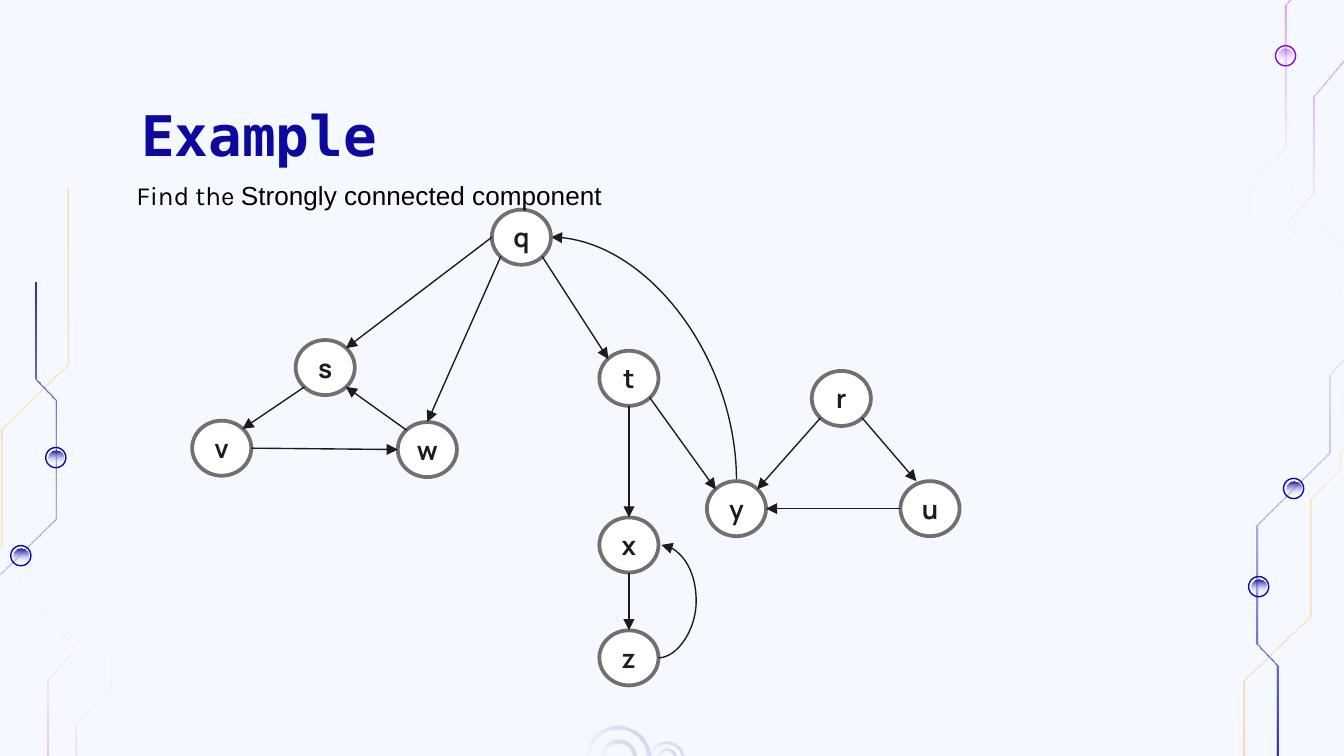
from dataclasses import dataclass

from lxml import etree
from pptx import Presentation
from pptx.dml.color import RGBColor
from pptx.enum.shapes import MSO_CONNECTOR, MSO_SHAPE
from pptx.enum.text import MSO_ANCHOR, PP_ALIGN
from pptx.oxml.ns import qn
from pptx.util import Emu, Inches, Pt

OVAL, DONUT = MSO_SHAPE.OVAL, MSO_SHAPE.DONUT
LINE, CURVE = MSO_CONNECTOR.STRAIGHT, MSO_CONNECTOR.CURVE
TOP, MIDDLE, BOTTOM = MSO_ANCHOR.TOP, MSO_ANCHOR.MIDDLE, MSO_ANCHOR.BOTTOM
LEFT, CENTER = PP_ALIGN.LEFT, PP_ALIGN.CENTER

COLS, ROWS = 100, 56.25  # grid of square cells
CELL = Inches(0.1)
COLORS = {
    "back": "F5F8FF", "navy": "0C0A9E", "orange": "FF9900", "purple": "9900FF",
    "violet": "8208D5", "white": "FFFFFF", "gray": "707070", "ink": "1C1C1C",
    "letter": "1D1D1D", "black": "000000",
}
NODE_W, NODE_H = 4.4, 4.1
SITES = {  # shares of a node's width and height
    "n": (0.5, 0), "e": (1, 0.5), "s": (0.5, 1), "w": (0, 0.5),
    "nw": (0.15, 0.15), "ne": (0.85, 0.15), "sw": (0.15, 0.85), "se": (0.85, 0.85),
    "nnw": (0.27, 0), "out": (1.05, 0.5),
}
NODES = {
    "s": (22, 25.3), "v": (14.3, 31.3), "q": (36.6, 15.6), "w": (29.6, 31.4),
    "t": (44.6, 26.1), "x": (44.6, 38.5), "z": (44.6, 46.9), "y": (52.6, 35.8),
    "r": (60.4, 27.6), "u": (67, 35.8),
}


@dataclass
class Edge:
    tail: str
    leave: str
    head: str
    enter: str


@dataclass
class Trail:
    color: str
    alphas: tuple
    angle: int
    turn: tuple  # sum of a point and its half-turned partner
    points: list


@dataclass
class Run:
    text: str
    font: str
    size: int
    color: str
    bold: bool = False


EDGES = [Edge(*e.split()) for e in (
    "q sw w n", "q w s ne", "s sw v ne", "v e w w", "w nw s se", "q se t nw",
    "t s x n", "x s z n", "t se y nw", "r sw y ne", "r se u nnw", "u w y e")]
WIDE, SIDE = (97.8, 77.7), (101.4, 64.9)
TRAILS = [
    Trail("orange", (35, 20), 270, WIDE, [
        (5.1, 14), (5.1, 27.1), (0.2, 31.9), (0.2, 40.6), (-2, 42.8), (-2, 44.1),
        (-3.2, 45.3), (-3.2, 50.7), (-5.6, 53.2), (-5.6, 56.7), (-7.3, 58.4),
        (-7.3, 67.2), (-0.7, 73.8), (-0.7, 81.5)]),
    Trail("navy", (85, 0), 270, WIDE, [
        (2.7, 21), (2.7, 28.2), (4.2, 29.8), (4.2, 38.6), (-1.2, 44), (-1.2, 49.8),
        (-3.6, 52.3), (-3.6, 57.9), (1.7, 63.2), (1.7, 67.1)]),
    Trail("purple", (47, 0), 90, SIDE, [
        (2.1, 68.1), (5.7, 64.5), (5.7, 53.9), (8.3, 51.3), (8.3, 46.5)]),
    Trail("purple", (47, 0), 90, SIDE, [
        (-1.8, 64.2), (3.6, 57.7), (3.6, 50.6), (5.6, 48.3), (1.6, 43.6), (1.6, 41.3)]),
]
DOTS = [(4.15, 34.05), (1.55, 41.35)]
RINGS = [(46, 4.8, 0.3), (46, 2.7, 0.3), (49.6, 2.5, 0.2), (49.6, 1.4, 0.2)]


def cells(n: float) -> Emu:
    return Emu(round(n * CELL))


def rgb(name: str) -> RGBColor:
    return RGBColor.from_string(COLORS[name])


def fade(shape, color: str, alphas: tuple, angle: int) -> None:
    """Fill with a gradient to white; alphas are percentages."""
    fill = shape.fill
    fill.gradient()
    fill.gradient_angle = angle % 360
    for stop, tone in zip(fill.gradient_stops, (color, "white")):
        stop.color.rgb = rgb(tone)
    tones = shape._element.spPr.find(qn("a:gradFill")).iter(qn("a:srgbClr"))
    for tone, alpha in zip(tones, alphas):
        etree.SubElement(tone, qn("a:alpha")).set("val", str(alpha * 1000))


def add_round(shapes, kind, x: float, y: float, w: float, h: float):
    shape = shapes.add_shape(kind, cells(x), cells(y), cells(w), cells(h))
    shape.shadow.inherit = False
    shape.fill.background()
    shape.line.fill.background()
    return shape


def add_disc(shapes, kind, x: float, y: float, size: float):
    return add_round(shapes, kind, x - size / 2, y - size / 2, size, size)


def outline(shape, color: str, width: float) -> None:
    shape.line.color.rgb = rgb(color)
    shape.line.width = Pt(width)


def add_trail(shapes, trail: Trail, turned: bool) -> None:
    pts = trail.points
    if turned:
        pts = [(trail.turn[0] - x, trail.turn[1] - y) for x, y in pts]
    band = pts + [(x - 0.14, y) for x, y in reversed(pts)]
    (x, y), *rest = [(cells(x), cells(y)) for x, y in band]
    pen = shapes.build_freeform(x, y)
    pen.add_line_segments(rest, close=True)
    shape = pen.convert_to_shape()
    shape.shadow.inherit = False
    shape.line.fill.background()
    fade(shape, trail.color, trail.alphas, trail.angle + 180 * turned)


def add_dot(shapes, x: float, y: float, rim: str, core: str, alpha: int) -> None:
    outline(add_disc(shapes, OVAL, x, y, 1.5), rim, 0.75)
    fade(add_disc(shapes, OVAL, x, y, 1.1), core, (alpha, 0), 270)


def write(shape, runs: list, align, anchor, inset: float, wrap: bool = True):
    frame = shape.text_frame
    frame.word_wrap, frame.vertical_anchor = wrap, anchor
    frame.margin_left = frame.margin_right = cells(inset)
    frame.margin_top = frame.margin_bottom = cells(inset)
    para = frame.paragraphs[0]
    para.alignment = align
    for item in runs:
        run = para.add_run()
        run.text = item.text
        font = run.font
        font.name, font.size, font.bold = item.font, Pt(item.size), item.bold
        font.color.rgb = rgb(item.color)
    return para


def place(shape, x: float, y: float, w: float, h: float) -> None:
    shape.left, shape.top = cells(x), cells(y)
    shape.width, shape.height = cells(w), cells(h)


def site(node: str, name: str) -> tuple:
    (x, y), (dx, dy) = NODES[node], SITES[name]
    return x + dx * NODE_W, y + dy * NODE_H


def add_arrow(shapes, kind, start: tuple, end: tuple):
    arrow = shapes.add_connector(kind, *map(cells, start + end))
    outline(arrow, "ink", 0.75)
    props = arrow._element.spPr
    etree.SubElement(props.find(qn("a:ln")), qn("a:tailEnd")).set("type", "triangle")
    etree.SubElement(props, qn("a:effectLst"))
    return arrow


def add_arc(shapes, start: tuple, end: tuple) -> None:
    """Quarter curve that leaves upwards and arrives leftwards."""
    (x1, y1), (x2, y2) = start, end
    mx, my = (x1 + x2) / 2, (y1 + y2) / 2
    dx, dy = (y1 - y2) / 2, (x1 - x2) / 2
    arc = add_arrow(shapes, CURVE, (mx - dx, my + dy), (mx + dx, my - dy))
    props = arc._element.spPr
    props.find(qn("a:xfrm")).set("rot", str(270 * 60000))
    props.find(qn("a:prstGeom")).set("prst", "curvedConnector2")


def add_loop(shapes, start: tuple, end: tuple, bulge: float) -> None:
    loop = add_arrow(shapes, CURVE, start, end)
    share = round(bulge / (end[0] - start[0]) * 100000)
    guides = loop._element.spPr.find(qn("a:prstGeom")).find(qn("a:avLst"))
    guide = etree.SubElement(guides, qn("a:gd"))
    guide.set("name", "adj1")
    guide.set("fmla", f"val {share}")


def main() -> None:
    deck = Presentation()
    deck.slide_width, deck.slide_height = cells(COLS), cells(ROWS)
    slide = deck.slides.add_slide(deck.slide_layouts[5])
    slide.background.fill.solid()
    slide.background.fill.fore_color.rgb = rgb("back")
    shapes = slide.shapes

    for turned in (False, True):
        for trail in TRAILS:
            add_trail(shapes, trail, turned)
        for x, y in DOTS:
            spot = (WIDE[0] - x, WIDE[1] - y) if turned else (x, y)
            add_dot(shapes, *spot, "navy", "navy", 100)
    add_dot(shapes, 95.65, 4.15, "violet", "purple", 47)
    for x, size, band in RINGS:
        ring = add_disc(shapes, DONUT, x, 56.4, size)
        ring.adjustments[0] = band / size
        fade(ring, "navy", (20, 0), 225)

    add_arc(shapes, site("y", "n"), site("q", "e"))
    for name, (x, y) in NODES.items():
        node = add_round(shapes, OVAL, x, y, NODE_W, NODE_H)
        node.fill.solid()
        node.fill.fore_color.rgb = rgb("white")
        outline(node, "gray", 2)
        write(node, [Run(name, "Manrope", 14, "letter", True)], CENTER, MIDDLE, 0, False)
    for edge in EDGES:
        add_arrow(shapes, LINE, site(edge.tail, edge.leave), site(edge.head, edge.enter))
    add_loop(shapes, site("z", "e"), site("x", "out"), 2.8)

    title = shapes.title
    place(title, 9.5, 6.5, 84.3, 6.3)
    write(title, [Run("Example", "DejaVu Sans Mono", 30, "navy", True)], LEFT, TOP, 1)
    task = shapes.add_textbox(0, 0, 0, 0)
    place(task, 4.7, 10.4, 46.1, 6.3)
    para = write(task, [Run("Find the ", "Karla", 14, "black"),
                        Run("Strongly connected component ", "Arial", 14, "black")],
                 CENTER, BOTTOM, 1)
    para.line_spacing = 1.15
    deck.save("out.pptx")


if __name__ == "__main__":
    main()
